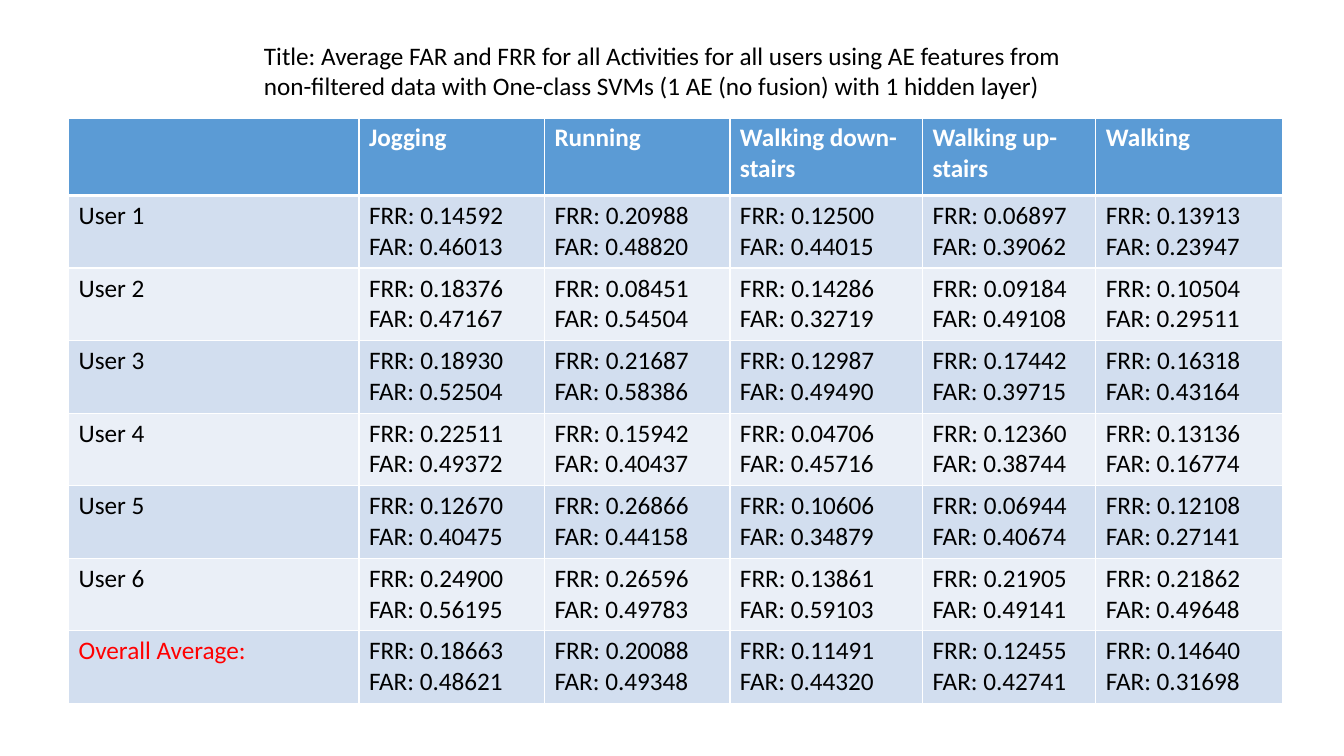
from lxml import etree
from pptx import Presentation
from pptx.dml.color import RGBColor
from pptx.enum.text import MSO_AUTO_SIZE
from pptx.oxml.ns import qn
from pptx.util import Inches, Pt

TITLE = ("Title: Average FAR and FRR for all Activities for all users using AE features "
         "from non-filtered data with One-class SVMs (1 AE (no fusion) with 1 hidden layer)")
ACTIVITIES = ["Jogging", "Running", "Walking down-stairs", "Walking up-stairs", "Walking"]
# One (FRR, FAR) pair per activity
RATES = {
    "User 1": [("0.14592", "0.46013"), ("0.20988", "0.48820"), ("0.12500", "0.44015"),
               ("0.06897", "0.39062"), ("0.13913", "0.23947")],
    "User 2": [("0.18376", "0.47167"), ("0.08451", "0.54504"), ("0.14286", "0.32719"),
               ("0.09184", "0.49108"), ("0.10504", "0.29511")],
    "User 3": [("0.18930", "0.52504"), ("0.21687", "0.58386"), ("0.12987", "0.49490"),
               ("0.17442", "0.39715"), ("0.16318", "0.43164")],
    "User 4": [("0.22511", "0.49372"), ("0.15942", "0.40437"), ("0.04706", "0.45716"),
               ("0.12360", "0.38744"), ("0.13136", "0.16774")],
    "User 5": [("0.12670", "0.40475"), ("0.26866", "0.44158"), ("0.10606", "0.34879"),
               ("0.06944", "0.40674"), ("0.12108", "0.27141")],
    "User 6": [("0.24900", "0.56195"), ("0.26596", "0.49783"), ("0.13861", "0.59103"),
               ("0.21905", "0.49141"), ("0.21862", "0.49648")],
    "Overall Average:": [("0.18663", "0.48621"), ("0.20088", "0.49348"), ("0.11491", "0.44320"),
                         ("0.12455", "0.42741"), ("0.14640", "0.31698")],
}
COLUMN_WIDTHS = [2.88, 1.84, 1.84, 1.91, 1.72, 1.85]
HEADER_HEIGHT, USER_HEIGHT = 0.77, 0.72
COLORS = {"header": "5B9BD5", "odd": "D2DEEF", "even": "EAEFF7",
          "white": "FFFFFF", "text": "000000", "average": "FF0000"}


def style_text(text_frame, color, bold=False):
    for paragraph in text_frame.paragraphs:
        for run in paragraph.runs:
            run.font.name = "Calibri"
            run.font.size = Pt(18)
            run.font.bold = bold
            run.font.color.rgb = RGBColor.from_string(COLORS[color])


def add_borders(cell, top, bottom):
    """Draw white cell edges; top and bottom are widths in points."""
    properties = cell._tc.get_or_add_tcPr()
    for edge, width in (("lnL", 1), ("lnR", 1), ("lnT", top), ("lnB", bottom)):
        line = etree.SubElement(properties, qn(f"a:{edge}"), w=str(Pt(width)))
        fill = etree.SubElement(line, qn("a:solidFill"))
        etree.SubElement(fill, qn("a:srgbClr"), val=COLORS["white"])


def add_title(slide):
    title = slide.shapes.add_textbox(Inches(2.52), Inches(0.35), Inches(8.13), Inches(0.71))
    title.text_frame.word_wrap = True
    title.text_frame.auto_size = MSO_AUTO_SIZE.SHAPE_TO_FIT_TEXT
    title.text_frame.text = TITLE
    style_text(title.text_frame, "text")


def add_rates_table(slide):
    rows = [["", *ACTIVITIES]]
    for user, pairs in RATES.items():
        rows.append([user, *(f"FRR: {frr}\nFAR: {far}" for frr, far in pairs)])
    heights = [HEADER_HEIGHT] + [USER_HEIGHT] * len(RATES)
    table = slide.shapes.add_table(
        len(rows), len(COLUMN_WIDTHS), Inches(0.68), Inches(1.17),
        Inches(sum(COLUMN_WIDTHS)), Inches(sum(heights))).table
    for column, width in zip(table.columns, COLUMN_WIDTHS):
        column.width = Inches(width)
    for r, (texts, height) in enumerate(zip(rows, heights)):
        table.rows[r].height = Inches(height)
        band = "header" if r == 0 else "odd" if r % 2 else "even"
        for c, text in enumerate(texts):
            cell = table.cell(r, c)
            cell.text_frame.text = text
            add_borders(cell, top=3 if r == 1 else 1, bottom=3 if r == 0 else 1)
            cell.fill.solid()
            cell.fill.fore_color.rgb = RGBColor.from_string(COLORS[band])
            is_average = text == "Overall Average:"
            color = "white" if r == 0 else "average" if is_average else "text"
            style_text(cell.text_frame, color, bold=r == 0)


def main():
    deck = Presentation()
    deck.slide_width, deck.slide_height = Inches(13.33), Inches(7.5)
    slide = deck.slides.add_slide(deck.slide_layouts[6])
    add_title(slide)
    add_rates_table(slide)
    deck.save("out.pptx")


if __name__ == "__main__":
    main()
